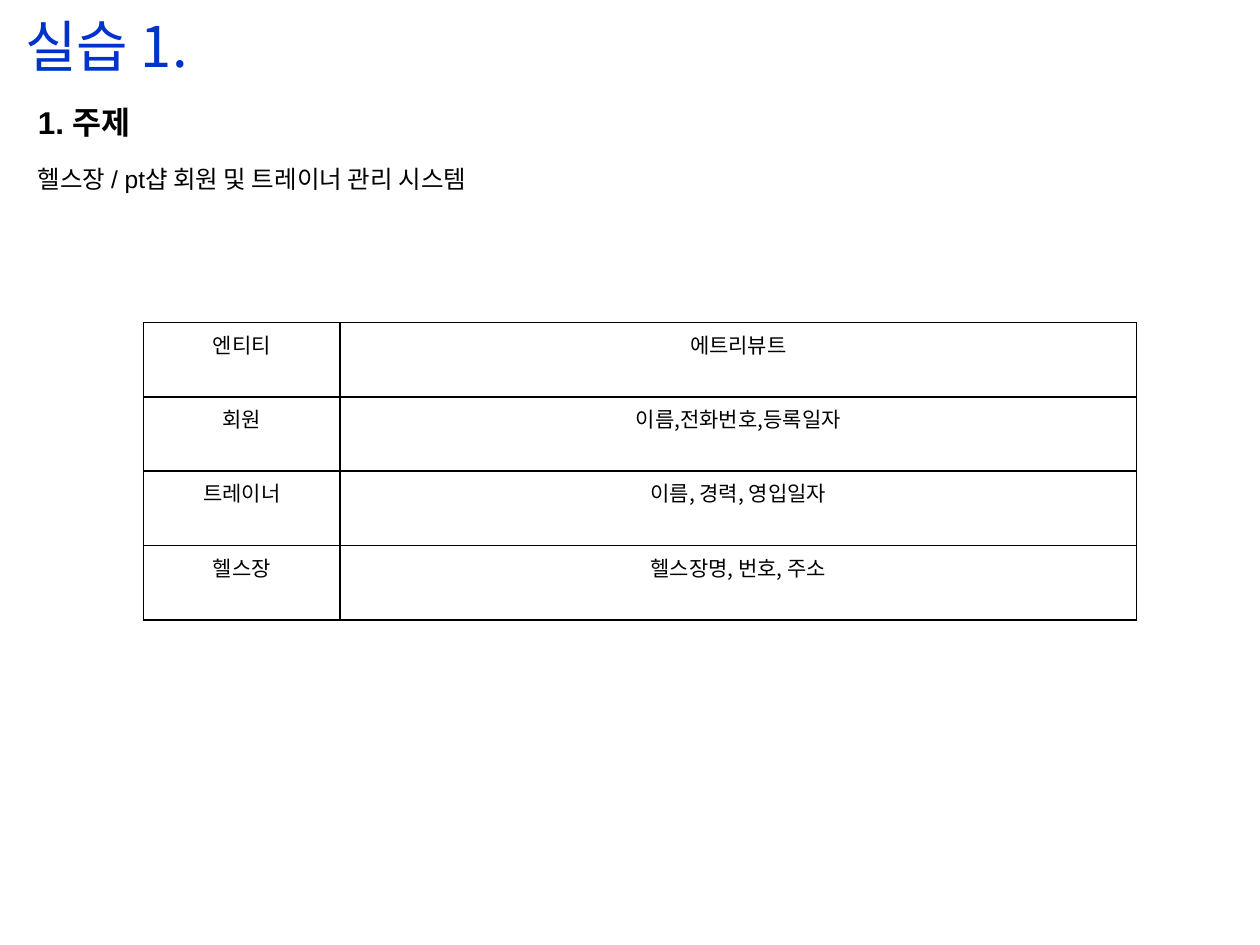
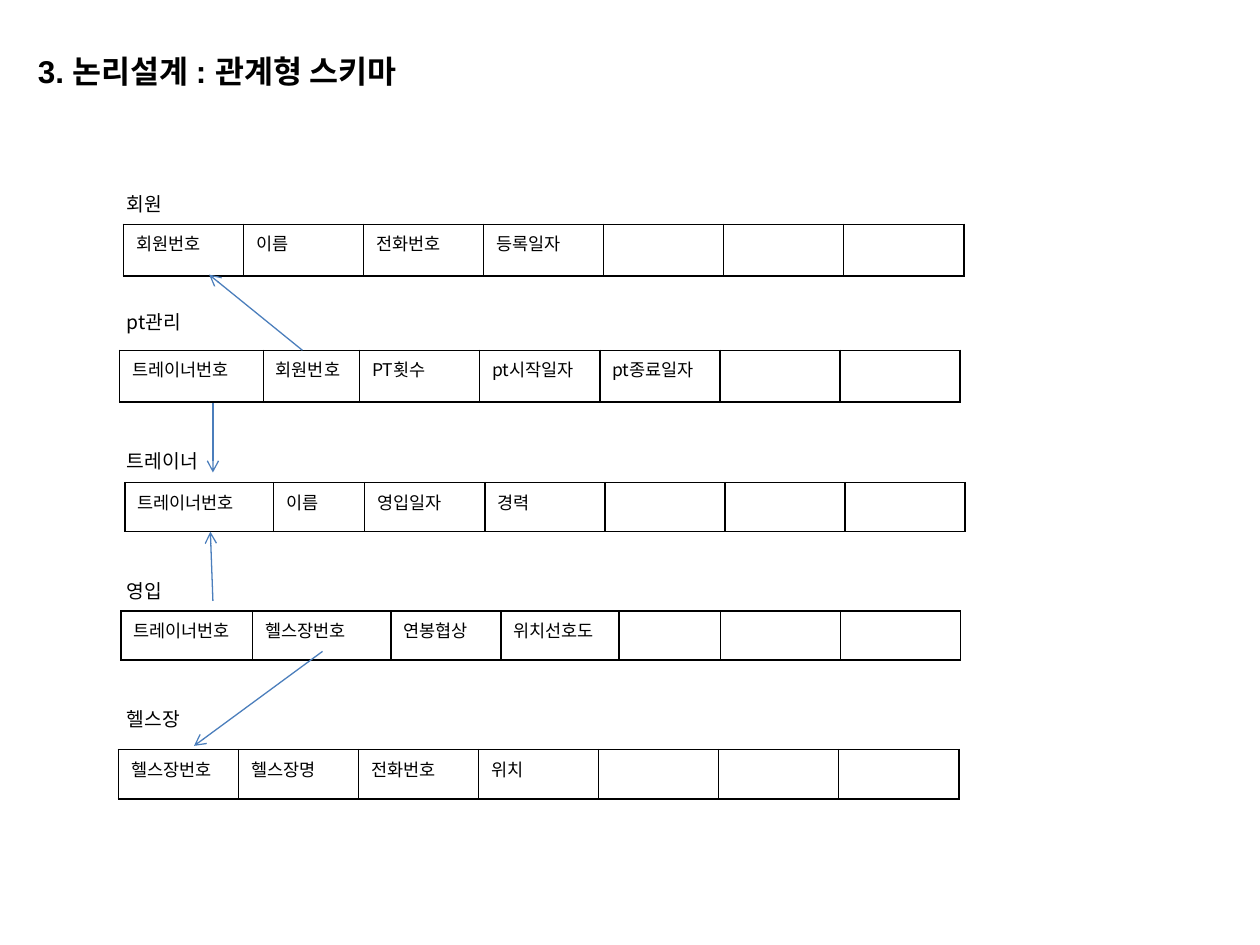
import dataclasses

import pptx
import pptx.dml.color
import pptx.enum.shapes
import pptx.enum.text
import pptx.oxml.ns
import pptx.util
from lxml import etree

SLIDE_WIDTH = pptx.util.Inches(10)
SLIDE_HEIGHT = pptx.util.Inches(7.5)
COLUMN = SLIDE_WIDTH / 100
ROW = SLIDE_HEIGHT / 75

KOREAN = "Noto Sans CJK KR"
LATIN = "Arial"
BLACK = "000000"
TITLE_BLUE = "0033CC"
ARROW_BLUE = "4B7EBC"
BORDER_POINTS = 1

TITLE_ONLY, TITLE_AND_BODY = 5, 1
LEFT = pptx.enum.text.PP_ALIGN.LEFT
CENTER = pptx.enum.text.PP_ALIGN.CENTER
TOP = pptx.enum.text.MSO_ANCHOR.TOP
MIDDLE = pptx.enum.text.MSO_ANCHOR.MIDDLE


@dataclasses.dataclass
class Box:
    """A region in grid columns and rows."""
    left: float
    top: float
    width: float
    height: float

    def lengths(self):
        return (columns(self.left), rows(self.top),
                columns(self.width), rows(self.height))


@dataclasses.dataclass
class Relation:
    """A one-row relation; field widths are in grid columns."""
    name: str
    label_top: float
    box: Box
    fields: list
    widths: list


def columns(count):
    return pptx.util.Emu(round(count * COLUMN))


def rows(count):
    return pptx.util.Emu(round(count * ROW))


def color(hex_string):
    return pptx.dml.color.RGBColor.from_string(hex_string)


def add_child(parent, tag, **attributes):
    return etree.SubElement(parent, pptx.oxml.ns.qn(tag), attributes)


def format_para(para, size, hex_string=BLACK, bold=False, latin=KOREAN,
                align=LEFT):
    para.alignment = align
    for run in para.runs:
        run.font.size = pptx.util.Pt(size)
        run.font.bold = bold
        run.font.name = latin
        run.font.color.rgb = color(hex_string)
        add_child(run.font._element, "a:ea", typeface=KOREAN)


def place_text(shape, box, text, anchor, inset):
    """Move a shape to the box and set its text; inset is in columns."""
    shape.left, shape.top, shape.width, shape.height = box.lengths()
    frame = shape.text_frame
    frame.text = text
    frame.word_wrap = True
    frame.auto_size = pptx.enum.text.MSO_AUTO_SIZE.NONE
    frame.vertical_anchor = anchor
    frame.margin_left = columns(inset)
    frame.margin_top = frame.margin_bottom = 0
    return frame.paragraphs


def add_topic(page, box):
    heading, topic = place_text(
        page.placeholders[1], box,
        "1. 주제\n헬스장 / pt샵 회원 및 트레이너 관리 시스템", TOP, 2)
    format_para(heading, 18, bold=True, latin=LATIN)
    format_para(topic, 14, latin=LATIN)
    heading.space_before = pptx.util.Pt(0)
    topic.space_before = pptx.util.Pt(13)
    for para in (heading, topic):
        properties = para._p.get_or_add_pPr()
        properties.set("marL", "0")
        properties.set("indent", "0")
        add_child(properties, "a:buNone")


def add_borders(cell):
    properties = cell._tc.get_or_add_tcPr()
    for side in ("a:lnL", "a:lnR", "a:lnT", "a:lnB"):
        line = add_child(properties, side, w=str(pptx.util.Pt(BORDER_POINTS)))
        add_child(add_child(line, "a:solidFill"), "a:srgbClr", val=BLACK)


def add_grid_table(page, box, records, widths, size, align=LEFT):
    table = page.shapes.add_table(
        len(records), len(widths), *box.lengths()).table
    table.first_row = table.horz_banding = False
    for column, width in zip(table.columns, widths):
        column.width = columns(width)
    for row, record in zip(table.rows, records):
        row.height = rows(box.height / len(records))
        for cell, text in zip(row.cells, record):
            add_borders(cell)
            cell.fill.background()
            cell.text = text
            para = cell.text_frame.paragraphs[0]
            format_para(para, size, align=align)
            if not text:
                add_child(para._p, "a:endParaRPr", sz=str(size * 100))


def add_relation(page, relation):
    label = page.shapes.add_textbox(0, 0, 0, 0)
    label_box = Box(9.1, relation.label_top, 15, 2.9)
    para, = place_text(label, label_box, relation.name, MIDDLE, 1)
    format_para(para, 11)
    blanks = [""] * (len(relation.widths) - len(relation.fields))
    add_grid_table(page, relation.box, [relation.fields + blanks],
                   relation.widths, 10)


def add_reference_arrow(page, start, end):
    arrow = page.shapes.add_connector(
        pptx.enum.shapes.MSO_CONNECTOR.STRAIGHT,
        columns(start[0]), rows(start[1]), columns(end[0]), rows(end[1]))
    arrow.line.color.rgb = color(ARROW_BLUE)
    arrow.line.width = pptx.util.Pt(0.75)
    add_child(arrow.line._get_or_add_ln(), "a:tailEnd", type="arrow")
    add_child(arrow._element.spPr, "a:effectLst")


def build_topic_page(deck):
    page = deck.slides.add_slide(deck.slide_layouts[TITLE_AND_BODY])
    title, = place_text(page.shapes.title, Box(1, 0, 98, 7.2), "실습 1.",
                        MIDDLE, 1)
    format_para(title, 32, TITLE_BLUE)
    add_topic(page, Box(1, 8.2, 98, 10))
    entities = [
        ("엔티티", "에트리뷰트"),
        ("회원", "이름,전화번호,등록일자"),
        ("트레이너", "이름, 경력, 영입일자"),
        ("헬스장", "헬스장명, 번호, 주소"),
    ]
    add_grid_table(page, Box(11.4, 25.6, 78.8, 23.6), entities,
                   [15.6, 63.2], 12, CENTER)


def build_schema_page(deck):
    page = deck.slides.add_slide(deck.slide_layouts[TITLE_ONLY])
    title, = place_text(page.shapes.title, Box(1, 2, 98, 7.3),
                        "3. 논리설계 : 관계형 스키마", MIDDLE, 2)
    format_para(title, 18, bold=True, latin=LATIN)

    width = 66.7
    even = width / 7
    relations = [
        Relation("회원", 14.7, Box(9.8, 17.8, width, 4.1),
                 ["회원번호", "이름", "전화번호", "등록일자"], [even] * 7),
        Relation("pt관리", 24.1, Box(9.5, 27.8, width, 4.1),
                 ["트레이너번호", "회원번호", "PT횟수", "pt시작일자",
                  "pt종료일자"], [11.4, 7.65] + [even] * 5),
        Relation("트레이너", 35.1, Box(9.9, 38.3, width, 3.9),
                 ["트레이너번호", "이름", "영입일자", "경력"],
                 [11.8, 7.25] + [even] * 5),
        Relation("영입", 45.4, Box(9.6, 48.5, width, 3.9),
                 ["트레이너번호", "헬스장번호", "연봉협상", "위치선호도"],
                 [10.45, 11, 8.7, 9.4, 8.05, even, even]),
        Relation("헬스장", 55.6, Box(9.4, 59.5, width, 3.9),
                 ["헬스장번호", "헬스장명", "전화번호", "위치"], [even] * 7),
    ]
    for relation in relations:
        add_relation(page, relation)

    references = [
        ((24, 27.8), (16.6, 21.8)),
        ((16.9, 32), (16.9, 37.5)),
        ((25.6, 51.7), (15.4, 59.2)),
        ((16.9, 47.7), (16.7, 42.2)),
    ]
    for start, end in references:
        add_reference_arrow(page, start, end)


def main():
    deck = pptx.Presentation()
    deck.slide_width = SLIDE_WIDTH
    deck.slide_height = SLIDE_HEIGHT
    build_topic_page(deck)
    build_schema_page(deck)
    deck.save("out.pptx")


if __name__ == "__main__":
    main()
